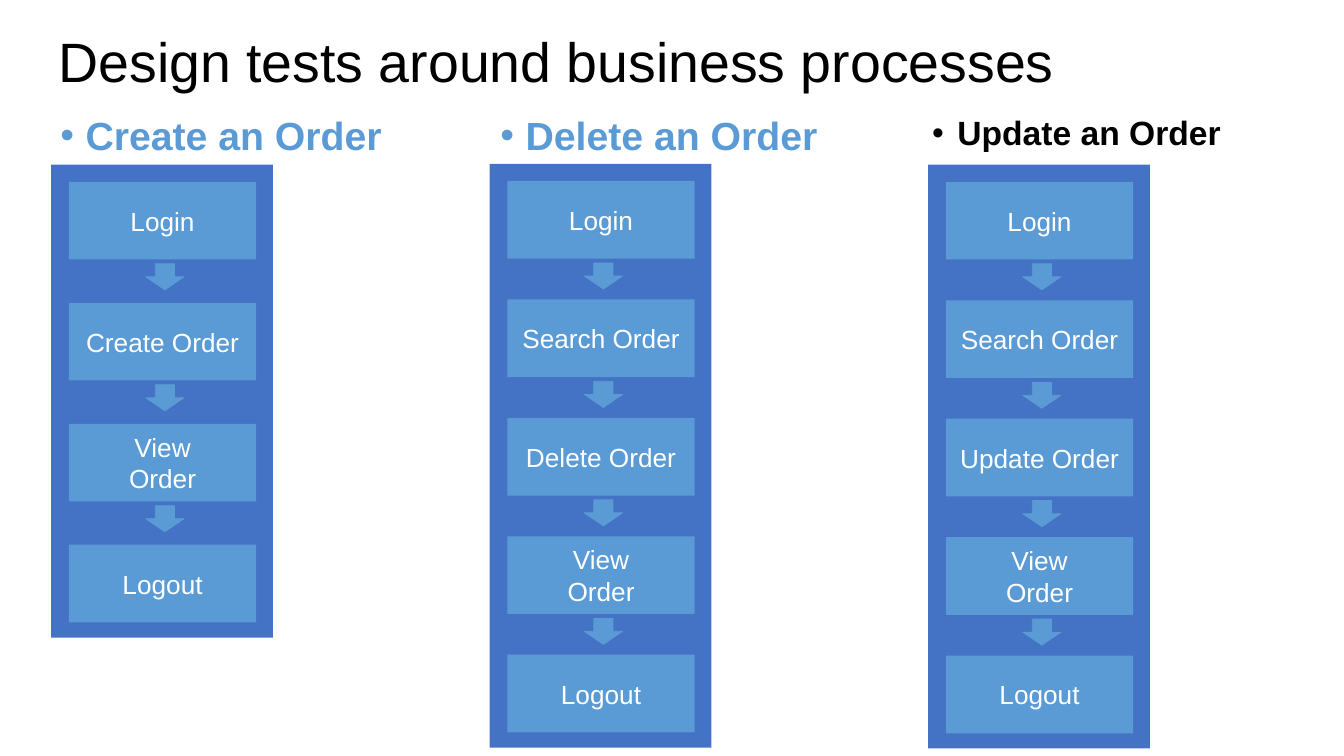
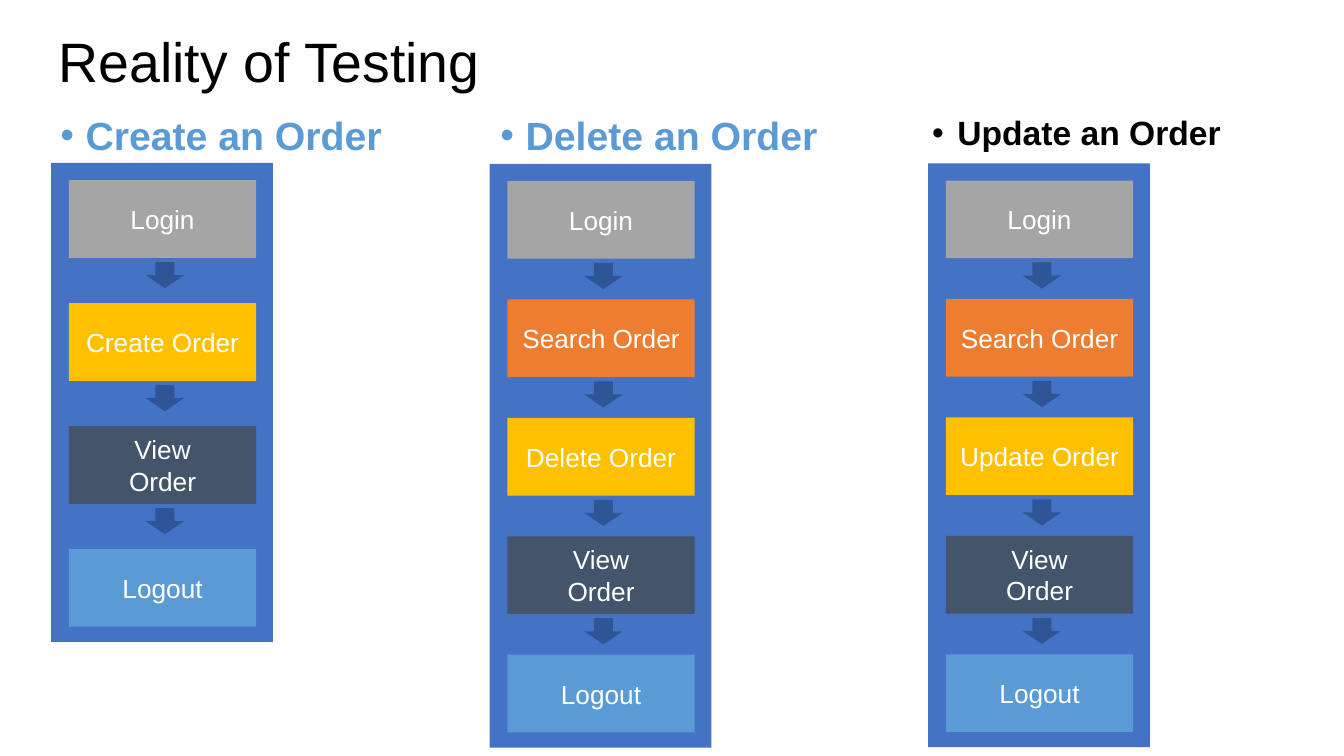
from lxml import etree
from pptx import Presentation, util as u
from pptx.dml.color import RGBColor
from pptx.enum import shapes, text
from pptx.oxml import ns

COLORS = {
    "black": "000000", "white": "FFFFFF", "panel": "4472C4", "sky": "5B9BD5",
    "navy": "2F5597", "gray": "A5A5A5", "orange": "ED7D31", "gold": "FFC000",
    "slate": "44546A",
}
FONT = "Arial"

deck = Presentation()
deck.slide_width, deck.slide_height = u.Inches(13.33), u.Inches(7.5)
COLUMN, ROW = deck.slide_width / 160, deck.slide_height / 90

PANEL_LEFT, PANEL_STEP, PANEL_WIDTH = 6.1, 52.2, 26.4
BOX_INSET, BOX_WIDTH, BOX_HEIGHT = 2.1, 22.3, 9.25
ARROW_INSET, ARROW_DROP, ARROW_WIDTH, ARROW_HEIGHT = 11.25, 9.75, 4.56, 3.12
PANEL_PADDING = 3.85

HEADINGS = [
    ("Create an Order", 6, 28, "sky"),
    ("Delete an Order", 58.4, 28, "sky"),
    ("Update an Order", 109.8, 24, "black"),
]
FLOWS = [
    ["Login", "Create Order", "View\nOrder", "Logout"],
    ["Login", "Search Order", "Delete Order", "View\nOrder", "Logout"],
    ["Login", "Search Order", "Update Order", "View\nOrder", "Logout"],
]
STEP_COLORS = {"Login": "gray", "Search Order": "orange", "View\nOrder": "slate", "Logout": "sky"}
SLIDES = [
    {"title": "Design tests around business processes", "steps": {}, "other": "sky",
     "arrow": "sky", "outline": 0.5,
     "panels": [(19.6, 14.4), (19.5, 14.1), (19.6, 14.1)]},
    {"title": "Reality of Testing", "steps": STEP_COLORS, "other": "gold",
     "arrow": "navy", "outline": 0,
     "panels": [(19.4, 14.64), (19.5, 14.1), (19.45, 14.1)]},
]


def grid(left, top, width, height):
    return [round(value) for value in (left * COLUMN, top * ROW, width * COLUMN, height * ROW)]


def write(box, words, size, color, bold=False):
    box.text_frame.word_wrap = True
    box.text_frame.text = words
    for para in box.text_frame.paragraphs:
        for span in para.runs:
            span.font.name = FONT
            span.font.size = u.Pt(size)
            span.font.bold = bold
            span.font.color.rgb = RGBColor.from_string(COLORS[color])


for slide in SLIDES:
    page = deck.slides.add_slide(deck.slide_layouts[6])
    title = page.shapes.add_textbox(*grid(5.8, 4.1, 148, 7.2))
    write(title, slide["title"], 39.6, "black")
    title.text_frame.vertical_anchor = text.MSO_ANCHOR.MIDDLE
    title.text_frame.paragraphs[0].line_spacing = 0.9

    for words, left, size, color in HEADINGS:
        heading = page.shapes.add_textbox(*grid(left, 13.3, 44, 52.3))
        write(heading, words, size, color, True)
        para = heading.text_frame.paragraphs[0]
        para.line_spacing = 0.9
        para.space_before = u.Pt(10)
        props = para._p.get_or_add_pPr()
        props.set("marL", str(u.Inches(0.25)))
        props.set("indent", str(-u.Inches(0.25)))
        etree.SubElement(props, ns.qn("a:buFont"), typeface=FONT)
        etree.SubElement(props, ns.qn("a:buChar"), char="•")

    for index, (flow, (top, pitch)) in enumerate(zip(FLOWS, slide["panels"])):
        left = PANEL_LEFT + index * PANEL_STEP
        height = (len(flow) - 1) * pitch + BOX_HEIGHT + PANEL_PADDING
        rectangle, arrow = shapes.MSO_SHAPE.RECTANGLE, shapes.MSO_SHAPE.DOWN_ARROW
        pieces = [(rectangle, (left, top, PANEL_WIDTH, height), "panel", "")]
        for number, step in enumerate(flow):
            box_top = top + 2.05 + number * pitch
            fill = slide["steps"].get(step, slide["other"])
            pieces.append((rectangle, (left + BOX_INSET, box_top, BOX_WIDTH, BOX_HEIGHT), fill, step))
            if number < len(flow) - 1:
                place = (left + ARROW_INSET, box_top + ARROW_DROP, ARROW_WIDTH, ARROW_HEIGHT)
                pieces.append((arrow, place, slide["arrow"], ""))

        group = page.shapes.add_group_shape()
        for kind, place, color, words in pieces:
            shape = group.shapes.add_shape(kind, *grid(*place))
            shape.shadow.inherit = False
            shape.fill.solid()
            shape.fill.fore_color.rgb = RGBColor.from_string(COLORS[color])
            if kind == arrow and slide["outline"]:
                shape.line.color.rgb = RGBColor.from_string(COLORS[color])
                shape.line.width = u.Pt(slide["outline"])
            else:
                shape.line.fill.background()
            if words:
                write(shape, words, 18.7, "white")
                shape.text_frame.vertical_anchor = text.MSO_ANCHOR.MIDDLE
                for para in shape.text_frame.paragraphs:
                    para.alignment = text.PP_ALIGN.CENTER

deck.save("out.pptx")
